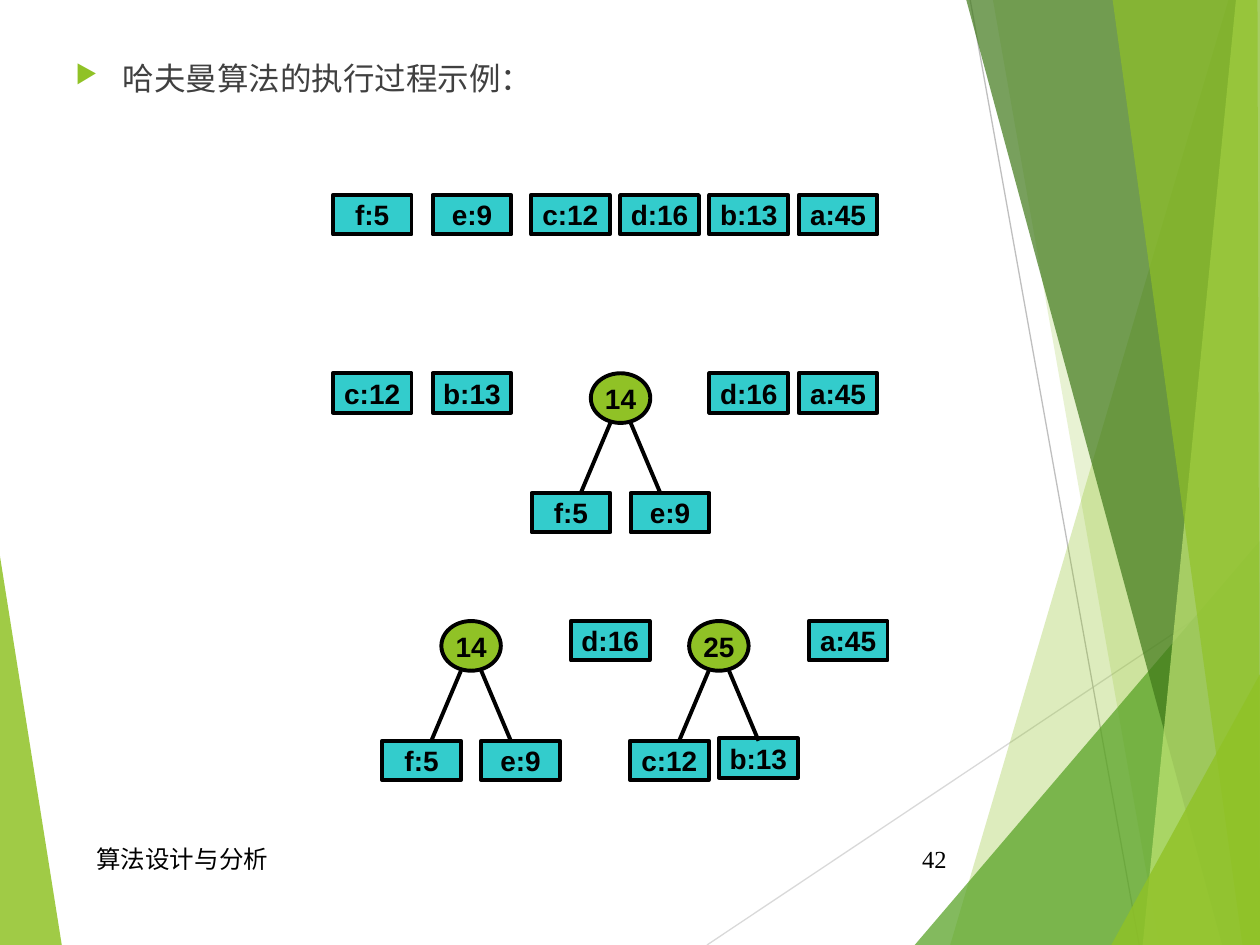
from lxml.etree import SubElement
from pptx import Presentation
from pptx.dml.color import RGBColor
from pptx.enum.shapes import MSO_CONNECTOR, MSO_SHAPE
from pptx.enum.text import MSO_ANCHOR, PP_ALIGN
from pptx.oxml.ns import qn
from pptx.util import Pt

COLORS = {
    "lime": "90C226", "green": "54A021", "forest": "3F7819", "pale": "C0E474",
    "light_gray": "D9D9D9", "gray": "BFBFBF", "text": "404040",
    "black": "000000", "leaf": "33CCCC",
}
FORMATS = {
    "title": {"size": Pt(18), "name": "Lato"},
    "footer": {"size": Pt(14), "name": "Times New Roman"},
    "node": {"size": Pt(16), "name": "Arial", "bold": True},
}
LEAF_SIZE = (45, 22.5)
NODE_SIZE = (34, 28.4)
LEAF_DROP = 68.4  # from the top of a node to the top of its leaves

# Colour, opacity in percent, corner points
FACETS_BEHIND = [
    ("lime", 85, [(0, 318), (35.3, 540), (0, 540)]),
]
FACETS = [
    ("lime", 30, [(702, 0), (543, 540), (720, 540), (720, 0)]),
    ("lime", 20, [(567.4, 0), (662.4, 540), (720, 540), (720, 0)]),
    ("green", 72, [(522.7, 540), (720, 309), (720, 540)]),
    ("forest", 70, [(552.2, 0), (698.4, 540), (720, 540), (720, 0)]),
    ("pale", 70, [(706.3, 0), (653, 540), (720, 540), (720, 0)]),
    ("lime", 65, [(635.8, 0), (710, 540), (720, 540), (718.6, 0)]),
    ("lime", 80, [(635, 540), (720, 385.2), (720, 540)]),
]


def rgb(name):
    return RGBColor.from_string(COLORS[name])


def write(shape, text, style, color, align=PP_ALIGN.LEFT,
          anchor=MSO_ANCHOR.MIDDLE, wrap=True):
    frame = shape.text_frame
    frame.word_wrap = wrap
    frame.vertical_anchor = anchor
    para = frame.paragraphs[0]
    para.alignment = align
    span = para.add_run()
    span.text = text
    for key, value in FORMATS[style].items():
        setattr(span.font, key, value)
    span.font.color.rgb = rgb(color)
    return para


def add_line(page, start, end, color, width):
    line = page.shapes.add_connector(
        MSO_CONNECTOR.STRAIGHT, *(Pt(value) for value in (*start, *end)))
    line.line.color.rgb = rgb(color)
    line.line.width = Pt(width)
    SubElement(line._element.spPr, qn("a:effectLst"))


def add_text(page, box, text, style, color, **layout):
    shape = page.shapes.add_textbox(*(Pt(value) for value in box))
    return write(shape, text, style, color, **layout)


def add_facets(page, left, top, facets):
    for color, opacity, corners in facets:
        points = [(Pt(left + x), Pt(top + y)) for x, y in corners]
        builder = page.shapes.build_freeform(*points[0])
        builder.add_line_segments(points[1:], close=True)
        shape = builder.convert_to_shape()
        shape.shadow.inherit = False
        shape.fill.solid()
        shape.fill.fore_color.rgb = rgb(color)
        shape.line.fill.background()
        tint = shape._element.spPr.find(".//" + qn("a:srgbClr"))
        SubElement(tint, qn("a:alpha"), val=str(opacity * 1000))


def add_backdrop(page, left, top):
    add_facets(page, left, top, FACETS_BEHIND)
    add_line(page, (left + 404, top + 540), (left + 720, top + 329),
             "light_gray", 0.75)
    add_line(page, (left + 554.4, top), (left + 651, top + 540), "gray", 0.75)
    add_facets(page, left, top, FACETS)


def add_title(page, box, text):
    para = add_text(page, box, text, "title", "text", anchor=MSO_ANCHOR.TOP)
    props = para._p.get_or_add_pPr()
    props.set("marL", str(Pt(27)))
    props.set("indent", str(Pt(-27)))
    bullet_color = SubElement(props, qn("a:buClr"))
    SubElement(bullet_color, qn("a:srgbClr"), val=COLORS["lime"])
    SubElement(props, qn("a:buSzPct"), val="80000")
    SubElement(props, qn("a:buChar"), char="▶")


def add_footer(page, left, top, width, height):
    add_text(page, (left, top, 364, height), "算法设计与分析", "footer", "black")
    add_text(page, (left + width - 40, top, 40, height), "42", "footer",
             "black", align=PP_ALIGN.RIGHT)


def add_node(page, kind, box, text, color):
    shape = page.shapes.add_shape(kind, *(Pt(value) for value in box))
    shape.shadow.inherit = False
    shape.fill.solid()
    shape.fill.fore_color.rgb = rgb(color)
    shape.line.color.rgb = rgb("black")
    shape.line.width = Pt(2.25)
    write(shape, text, "node", "black", align=PP_ALIGN.CENTER, wrap=False)


def add_leaves(page, top, leaves):
    for text, left in leaves:
        add_node(page, MSO_SHAPE.RECTANGLE, (left, top, *LEAF_SIZE), text, "leaf")


def add_tree(page, center, top, total, leaves, right_shift=(5.8, 0)):
    """A sum node with two leaves; right_shift moves the right leaf."""
    width, height = NODE_SIZE
    add_node(page, MSO_SHAPE.OVAL, (center - width / 2, top, *NODE_SIZE),
             total, "lime")
    shift_x, shift_y = right_shift
    add_leaves(page, top + LEAF_DROP, [(leaves[0], center - 50.8)])
    add_leaves(page, top + LEAF_DROP + shift_y, [(leaves[1], center + shift_x)])
    for side in (-1, 1):
        add_line(page, (center + side * 5.8, top + height),
                 (center + side * 22.7, top + LEAF_DROP), "black", 2.25)


def add_steps(page, left, top):
    # Sorted symbols
    add_leaves(page, top, [
        ("f:5", left), ("e:9", left + 57), ("c:12", left + 113.2),
        ("d:16", left + 164.2), ("b:13", left + 215.2), ("a:45", left + 266.2)])

    # First merge
    second = top + 101.8
    add_leaves(page, second, [
        ("c:12", left), ("b:13", left + 57),
        ("d:16", left + 215.2), ("a:45", left + 266.2)])
    add_tree(page, left + 164.4, second, "14", ("f:5", "e:9"))

    # Second merge
    third = top + 243.4
    add_leaves(page, third, [("d:16", left + 136), ("a:45", left + 272)])
    add_tree(page, left + 79, third, "14", ("f:5", "e:9"))
    add_tree(page, left + 220.6, third, "25", ("c:12", "b:13"),
             right_shift=(0, -1.4))


def main():
    deck = Presentation()
    deck.slide_width, deck.slide_height = Pt(720), Pt(540)
    page = deck.slides.add_slide(deck.slide_layouts[6])
    add_backdrop(page, 0, 0)
    add_title(page, (36, 30, 648, 48), "哈夫曼算法的执行过程示例：")
    add_footer(page, 48, 476, 500, 29)
    add_steps(page, 190.2, 111.5)
    deck.save("out.pptx")


if __name__ == "__main__":
    main()
